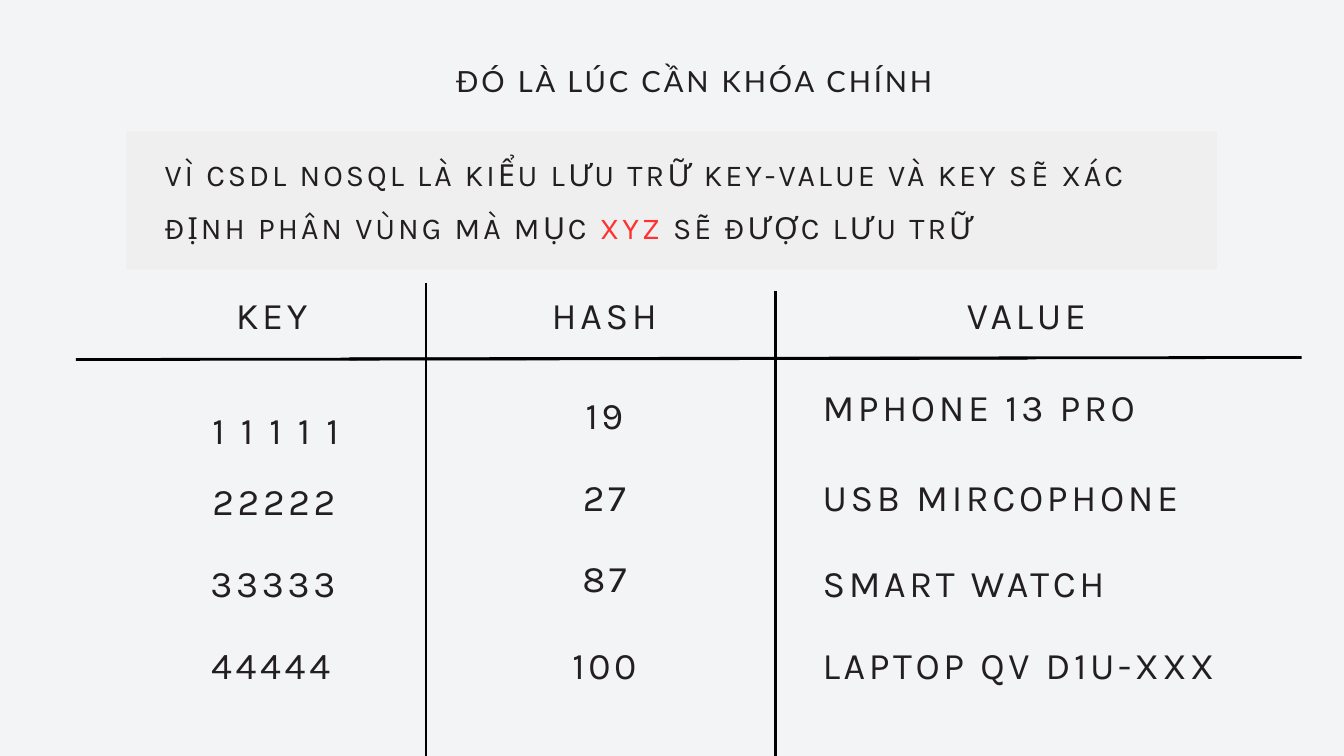
from dataclasses import dataclass

from lxml import etree
from pptx import Presentation
from pptx import util as u
from pptx.dml.color import RGBColor
from pptx.enum import shapes, text
from pptx.oxml import ns

COLORS = {
    "background": "F2F4F5",
    "panel": "EFEFEF",
    "ink": "231F20",
    "highlight": "FF3131",
    "rule": "000000",
}


@dataclass(frozen=True)
class TextStyle:
    font: str
    size: float
    line_spacing: float
    letter_spacing: float


@dataclass(frozen=True)
class Label:
    runs: tuple[str, ...]
    left: float
    top: float
    width: float
    height: float = 54
    centered: bool = False


@dataclass(frozen=True)
class Rule:
    start: tuple[float, float]
    end: tuple[float, float]


TITLE_STYLE = TextStyle("Lato", 31.2, 64, 3.1)
BODY_STYLE = TextStyle("Karla", 32.5, 56.3, 3.2)
CELL_STYLE = TextStyle("Karla", 40.2, 55.5, 3.9)

TITLE = Label(("ĐÓ LÀ LÚC CẦN KHÓA CHÍNH",), 374.4, 41.8, 739.4, 58.3, True)
EXPLANATION = Label(
    (
        "VÌ CSDL NOSQL LÀ KIỂU LƯU TRỮ KEY-VALUE VÀ KEY SẼ XÁC ĐỊNH PHÂN VÙNG MÀ MỤC ",
        "XYZ ",
        "SẼ ĐƯỢC LƯU TRỮ",
    ),
    176.4, 150.5, 1087.2, 108,
)
HEADER_TOP = 305.3
HEADERS = (
    Label(("KEY",), 252.7, HEADER_TOP, 113),
    Label(("HASH",), 591.1, HEADER_TOP, 153.4),
    Label(("VALUE",), 1036.1, HEADER_TOP, 155.5),
)
KEYS = (
    Label(("1 1 1 1 1",), 227.5, 429.1, 165),
    Label(("22222",), 227.5, 504.7, 165),
    Label(("33333",), 225.4, 592.6, 165),
    Label(("44444",), 226.1, 680.4, 165),
)
HASHES = tuple(
    Label((value,), 591.1, top, 113, centered=True)
    for value, top in (("19", 412.6), ("27", 500.4), ("87", 587.5), ("100", 680.4))
)
VALUES = tuple(
    Label((value,), 881.3, top, 447)
    for value, top in (
        ("MPHONE 13 PRO", 404.6),
        ("USB MIRCOPHONE", 500.4),
        ("SMART WATCH", 592.6),
        ("LAPTOP QV D1U-XXX", 680.4),
    )
)
RULES = (
    Rule((830.9, 810), (830.9, 311.8)),
    Rule((456.5, 810), (456.5, 303.1)),
    Rule((1100.9, 383.8), (81.4, 385.2)),
    Rule((1394.6, 383), (374.4, 384.5)),
)


def color(name: str) -> RGBColor:
    return RGBColor.from_string(COLORS[name])


def draw_panel(slide) -> None:
    shape = slide.shapes.add_shape(
        shapes.MSO_SHAPE.RECTANGLE, u.Pt(135.4), u.Pt(141.1), u.Pt(1168.6), u.Pt(147.6)
    )
    shape.shadow.inherit = False
    shape.fill.solid()
    shape.fill.fore_color.rgb = color("panel")
    shape.line.fill.background()


def draw_rule(slide, rule: Rule) -> None:
    connector = slide.shapes.add_connector(
        shapes.MSO_CONNECTOR.STRAIGHT, *map(u.Pt, rule.start + rule.end)
    )
    connector.line.color.rgb = color("rule")
    connector.line.width = u.Pt(3)
    etree.SubElement(connector._element.spPr, ns.qn("a:effectLst"))


def draw_label(slide, label: Label, style: TextStyle) -> None:
    box = slide.shapes.add_textbox(
        u.Pt(label.left), u.Pt(label.top), u.Pt(label.width), u.Pt(label.height)
    )
    frame = box.text_frame
    frame.word_wrap = True
    frame.auto_size = text.MSO_AUTO_SIZE.SHAPE_TO_FIT_TEXT
    frame.margin_left = frame.margin_right = frame.margin_top = frame.margin_bottom = 0
    paragraph = frame.paragraphs[0]
    paragraph.alignment = text.PP_ALIGN.CENTER if label.centered else text.PP_ALIGN.LEFT
    paragraph.line_spacing = u.Pt(style.line_spacing)
    paragraph.font.name = style.font
    paragraph.font.size = u.Pt(style.size)
    paragraph.font.color.rgb = color("ink")
    properties = paragraph._p.pPr.find(ns.qn("a:defRPr"))
    properties.set("spc", str(round(style.letter_spacing * 100)))
    for content in label.runs:
        run = paragraph.add_run()
        run.text = content
        if content.strip() == "XYZ":
            run.font.color.rgb = color("highlight")


def main() -> None:
    presentation = Presentation()
    presentation.slide_width = u.Pt(1440)
    presentation.slide_height = u.Pt(810)
    slide = presentation.slides.add_slide(presentation.slide_layouts[6])
    slide.background.fill.solid()
    slide.background.fill.fore_color.rgb = color("background")

    draw_panel(slide)
    for rule in RULES:
        draw_rule(slide, rule)
    draw_label(slide, TITLE, TITLE_STYLE)
    draw_label(slide, EXPLANATION, BODY_STYLE)
    for label in HEADERS + KEYS + HASHES + VALUES:
        draw_label(slide, label, CELL_STYLE)

    presentation.save("out.pptx")


if __name__ == "__main__":
    main()
